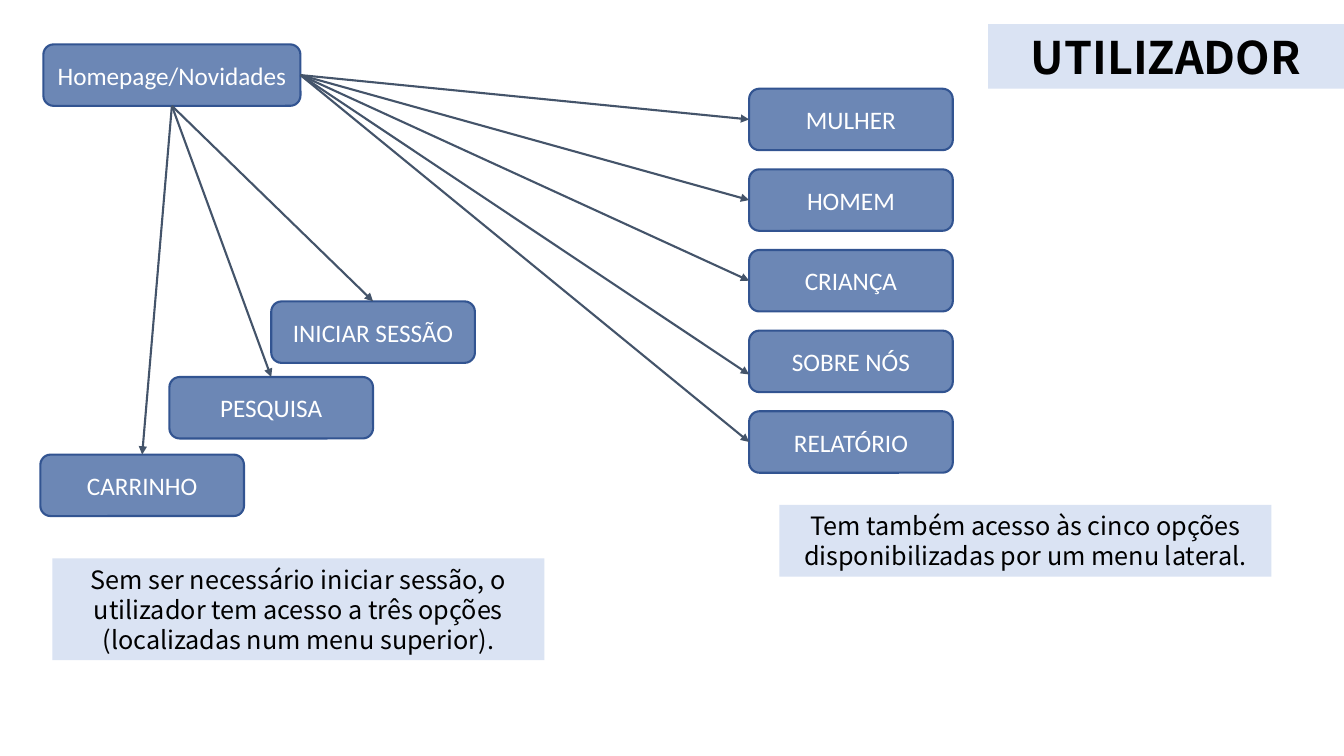
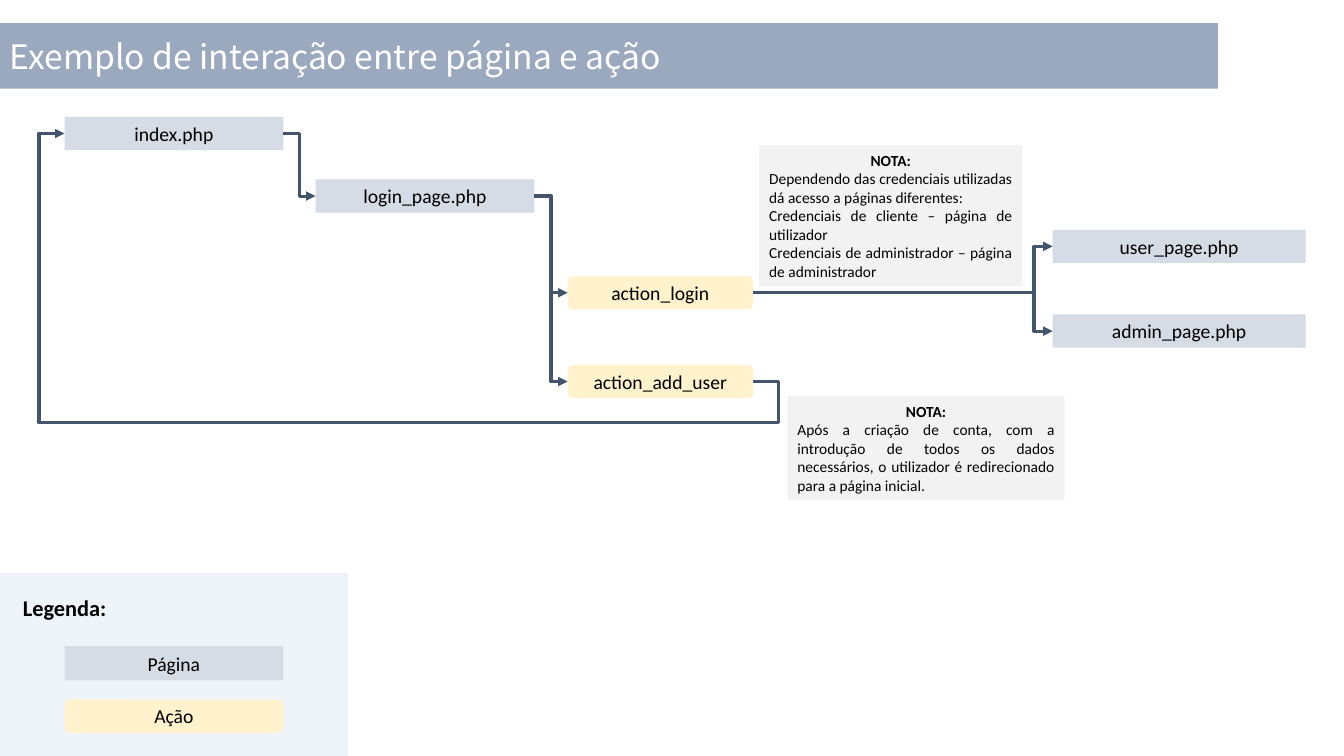
import pptx
import pptx.util
import pptx.dml.color
import pptx.enum.shapes
import pptx.enum.text
import pptx.oxml.ns
import lxml.etree

Inches = pptx.util.Inches
Pt = pptx.util.Pt
qn = pptx.oxml.ns.qn
SHAPE = pptx.enum.shapes.MSO_SHAPE
LINK = pptx.enum.shapes.MSO_CONNECTOR
ALIGN = pptx.enum.text.PP_ALIGN

SANS, BODY = "Noto Sans CJK JP", "Calibri"
BLACK, WHITE = "000000", "FFFFFF"
BLUE, EDGE, PALE = "2F5597", "325491", "DAE3F3"
BAND, PANEL, ARROW = "8497B0", "DFE7F5", "44546A"
PAGE, ACTION, NOTE = "D6DCE5", "FFF2CC", "F2F2F2"
TOP, LEFT, BOTTOM, RIGHT = range(4)


def paint(fill, color, alpha=100):
    """Fill with a hex colour at a percentage of opacity."""
    fill.solid()
    fill.fore_color.rgb = pptx.dml.color.RGBColor.from_string(color)
    if alpha < 100:
        node = fill._xPr.find(qn("a:solidFill"))[0]
        lxml.etree.SubElement(node, qn("a:alpha")).set("val", str(alpha * 1000))


def write(shape, lines, size, color=BLACK, font=BODY):
    """Write (text, alignment, bold) lines into a shape."""
    frame = shape.text_frame
    frame.word_wrap = True
    frame.vertical_anchor = pptx.enum.text.MSO_ANCHOR.MIDDLE
    for i, (text, align, bold) in enumerate(lines):
        para = frame.add_paragraph() if i else frame.paragraphs[0]
        para.alignment = align
        run = para.add_run()
        run.text = text
        run.font.name = font
        run.font.size = Pt(size)
        run.font.bold = bold
        paint(run.font.fill, color)


def block(slide, box, color, alpha=100, kind=SHAPE.RECTANGLE, edge=None):
    """Draw a filled shape in a box of left, top, width and height."""
    shape = slide.shapes.add_shape(kind, *map(Inches, box))
    shape.shadow.inherit = False
    paint(shape.fill, color, alpha)
    if edge:
        paint(shape.line.fill, edge)
        shape.line.width = Pt(1.5)
    else:
        shape.line.fill.background()
    return shape


def label(slide, box, text, size=18, bold=False):
    """Draw a pale box with centred text."""
    shape = block(slide, box, PALE)
    write(shape, [(text, ALIGN.CENTER, bold)], size, font=SANS)


def button(slide, box, text):
    """Draw a rounded blue menu button."""
    shape = block(slide, box, BLUE, 70, SHAPE.ROUNDED_RECTANGLE, EDGE)
    write(shape, [(text, ALIGN.CENTER, False)], 18, WHITE)
    return shape


def page(slide, box, text):
    """Draw a page node."""
    shape = block(slide, box, PAGE)
    write(shape, [(text, ALIGN.CENTER, False)], 14)
    return shape


def action(slide, box, text):
    """Draw an action node."""
    shape = block(slide, box, ACTION, kind=SHAPE.ROUNDED_RECTANGLE)
    write(shape, [(text, ALIGN.CENTER, False)], 14)
    return shape


def note(slide, box, lines):
    """Draw a grey note with a bold heading."""
    rows = [("NOTA:", ALIGN.CENTER, True)]
    rows += [(line, ALIGN.JUSTIFY, False) for line in lines]
    write(block(slide, box, NOTE), rows, 11)


def point(shape, side):
    """Return the middle of one side of a shape."""
    x = shape.left + shape.width * (0, -1, 0, 1)[side] // 2 + shape.width // 2
    y = shape.top + shape.height * (-1, 0, 1, 0)[side] // 2 + shape.height // 2
    return x, y


def arrow(slide, start, out, goal, into, width=1.5, bends=None, drop=0):
    """Join two shapes with an arrow, bent where bends are given."""
    x, y = point(goal, into)
    kind = LINK.STRAIGHT if bends is None else LINK.ELBOW
    link = slide.shapes.add_connector(kind, *point(start, out), x, y + Inches(drop))
    link.begin_connect(start, out)
    if not drop:
        link.end_connect(goal, into)
    paint(link.line.fill, ARROW)
    link.line.width = Pt(width)
    props = link._element.spPr
    tail = lxml.etree.SubElement(props.find(qn("a:ln")), qn("a:tailEnd"))
    tail.set("type", "triangle")
    lxml.etree.SubElement(props, qn("a:effectLst"))
    if bends:
        shape = props.find(qn("a:prstGeom"))
        shape.set("prst", f"bentConnector{len(bends) + 2}")
        guides = shape.find(qn("a:avLst"))
        for i, bend in enumerate(bends, 1):
            guide = lxml.etree.SubElement(guides, qn("a:gd"))
            guide.set("name", f"adj{i}" if len(bends) > 1 else "adj1")
            guide.set("fmla", f"val {round(bend * 100000)}")


def menu(slide, box, home):
    """Draw the side menu and its arrows from home."""
    x, y, w, h = box
    names = ["MULHER", "HOMEM", "CRIANÇA", "SOBRE NÓS", "RELATÓRIO"]
    for i, name in enumerate(names):
        item = button(slide, (x, y + i * 0.8, w, h), name)
        drop = 0.13 if name == "SOBRE NÓS" else 0
        arrow(slide, home, RIGHT, item, LEFT, drop=drop)


def stair(slide, box, home):
    """Draw the stepped top menu and its arrows from home."""
    x, y, w, h = box
    steps = [(2.29, 0, "INICIAR SESSÃO"), (1.28, 0.75, "PESQUISA"), (0, 1.52, "CARRINHO")]
    for dx, dy, name in steps:
        item = button(slide, (x + dx, y + dy, w, h), name)
        arrow(slide, home, BOTTOM, item, TOP)


def legend(slide, box):
    """Draw the key to the node colours."""
    x, y, w, h = box
    block(slide, box, PANEL, 49)
    head = slide.shapes.add_textbox(*map(Inches, (x + 0.13, y + 0.16, 1.43, 0.37)))
    write(head, [("Legenda:", ALIGN.LEFT, True)], 16)
    page(slide, (x + 0.64, y + 0.73, 2.17, 0.34), "Página")
    action(slide, (x + 0.64, y + 1.26, 2.17, 0.33), "Ação")


def flow(slide, box):
    """Draw the pages, actions, notes and bent arrows."""
    x, y, w, h = box
    end = x + w
    index = page(slide, (x, y, 2.17, 0.33), "index.php")
    login = page(slide, (x + 2.49, y + 0.62, 2.17, 0.33), "login_page.php")
    user = page(slide, (end - 2.51, y + 1.12, 2.51, 0.33), "user_page.php")
    admin = page(slide, (end - 2.51, y + 1.96, 2.51, 0.33), "admin_page.php")
    note(slide, (x + 6.89, y + 0.28, 2.61, 1.4), [
        "Dependendo das credenciais utilizadas dá acesso a páginas diferentes:",
        "Credenciais de cliente – página de utilizador",
        "Credenciais de administrador – página de administrador"])
    enter = action(slide, (x + 4.99, y + 1.58, 1.84, 0.33), "action_login")
    add = action(slide, (x + 4.99, y + 2.46, 1.84, 0.33), "action_add_user")
    note(slide, (x + 7.17, y + h - 1.03, 2.75, 1.03), [
        "Após a criação de conta, com a introdução de todos os dados necessários, "
        "o utilizador é redirecionado para a página inicial."])
    links = [(index, login, [0.5]), (login, enter, [0.5]), (login, add, [0.5]),
             (add, index, [-0.037, -0.167, 1.037]),
             (enter, user, [0.938]), (enter, admin, [0.938])]
    for start, goal, bends in links:
        arrow(slide, start, RIGHT, goal, LEFT, 2.25, bends)


def access(slide):
    """Build the slide on what a user can reach."""
    home = button(slide, (0.43, 0.44, 2.55, 0.61), "Homepage/Novidades")
    menu(slide, (7.43, 0.88, 2.02, 0.61), home)
    stair(slide, (0.4, 2.99, 2.02, 0.61), home)
    label(slide, (0.52, 5.54, 4.88, 1.01),
          "Sem ser necessário iniciar sessão, o utilizador tem acesso a três opções "
          "(localizadas num menu superior).")
    label(slide, (7.73, 5.01, 4.88, 0.71),
          "Tem também acesso às cinco opções disponibilizadas por um menu lateral.")
    label(slide, (9.8, 0.24, 3.53, 0.64), "UTILIZADOR", 32, True)


def sample(slide):
    """Build the slide on how pages and actions interact."""
    band = block(slide, (0, 0.23, 12.08, 0.65), BAND, 82)
    title = "Exemplo de interação entre página e ação"
    write(band, [(title, ALIGN.LEFT, False)], 24, WHITE, SANS)
    legend(slide, (0, 5.68, 3.45, 1.82))
    flow(slide, (0.64, 1.16, 12.31, 3.8))


def main():
    """Build and save the deck."""
    deck = pptx.Presentation()
    deck.slide_width, deck.slide_height = Inches(13.33), Inches(7.5)
    for build in (access, sample):
        build(deck.slides.add_slide(deck.slide_layouts[6]))
    deck.save("out.pptx")


if __name__ == "__main__":
    main()
